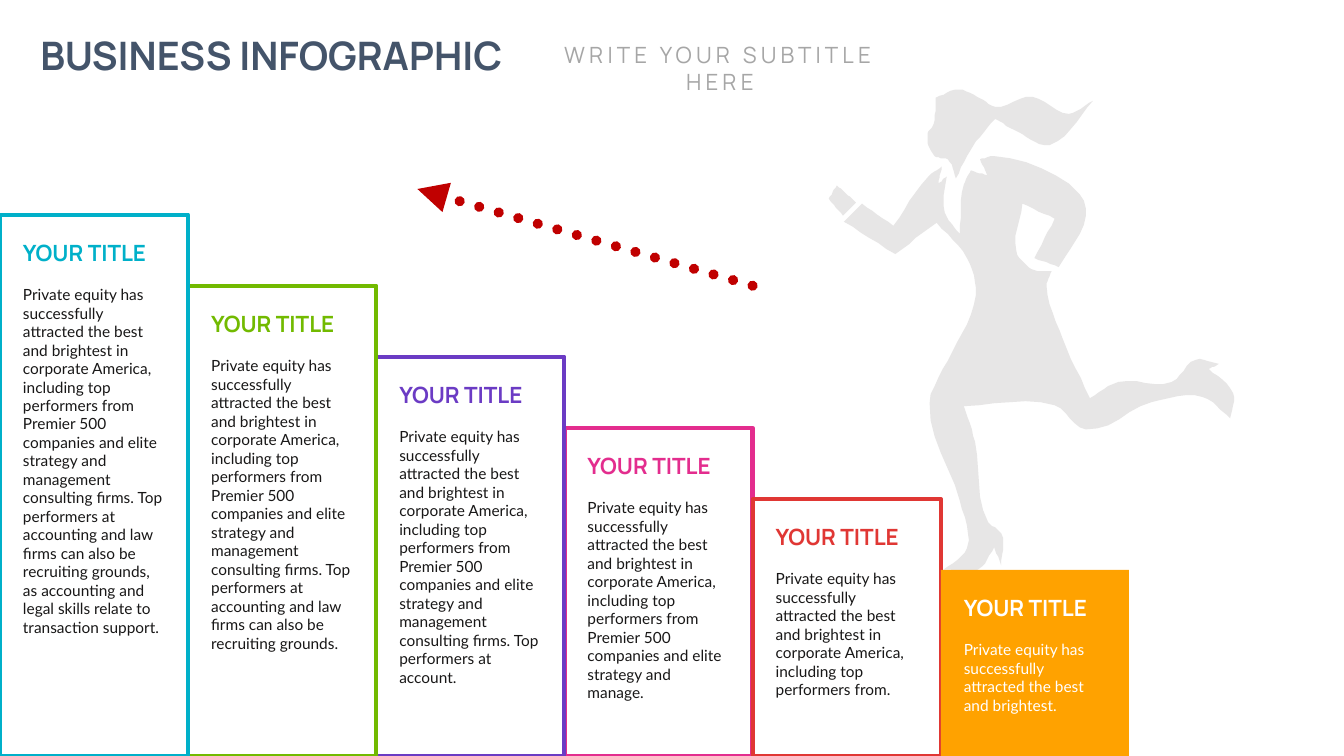
from dataclasses import dataclass

from lxml.etree import SubElement
from pptx import Presentation
from pptx.dml.color import RGBColor
from pptx.enum.dml import MSO_LINE
from pptx.enum.shapes import MSO_CONNECTOR, MSO_SHAPE
from pptx.enum.text import MSO_ANCHOR, MSO_AUTO_SIZE, PP_ALIGN
from pptx.oxml.ns import qn
from pptx.util import Inches, Pt

WIDTH, HEIGHT = 13.33, 7.5
COLUMN = WIDTH * 0.14
TOP_STAIR = HEIGHT * 0.284
RISER = HEIGHT * 0.094

CYAN = RGBColor(0x00, 0xB0, 0xC9)
GREEN = RGBColor(0x72, 0xBA, 0x00)
PURPLE = RGBColor(0x6B, 0x3B, 0xC4)
PINK = RGBColor(0xE3, 0x2D, 0x8E)
RED = RGBColor(0xE0, 0x37, 0x34)
ORANGE = RGBColor(0xFF, 0xA2, 0x00)
WHITE = RGBColor(0xFF, 0xFF, 0xFF)
INK = RGBColor(0x18, 0x17, 0x17)
SLATE = RGBColor(0x44, 0x54, 0x6A)
GRAY = RGBColor(0xA6, 0xA6, 0xA6)
PALE_GRAY = RGBColor(0xE7, 0xE6, 0xE6)
DARK_RED = RGBColor(0xC0, 0x00, 0x00)

STORY = (
    "Private equity has successfully attracted the best and brightest in corporate America, "
    "including top performers from Premier 500 companies and elite strategy and management "
    "consulting firms. Top performers at accounting and law firms can also be recruiting "
    "grounds, as accounting and legal skills relate to transaction support."
)


@dataclass(frozen=True)
class Stair:
    column: int
    color: RGBColor
    last_word: str
    lines: int
    filled: bool = False


# From back to front: each border overlaps the one drawn before it.
STAIRS = [
    Stair(3, PINK, "manage", 11),
    Stair(2, PURPLE, "account", 14),
    Stair(1, GREEN, "grounds", 16),
    Stair(0, CYAN, "support", 19),
    Stair(4, RED, "from", 7),
    Stair(5, ORANGE, "brightest", 4, filled=True),
]

# Key points of the running woman, in hundredths of an inch.
HEAD = [
    (951, 89), (928, 97), (926, 123), (920, 134), (927, 155), (940, 158), (948, 177), (965, 145),
    (987, 118), (1010, 131), (1036, 144), (1049, 140), (1084, 100), (1060, 113), (1024, 96),
    (987, 106), (973, 98),
]
BODY = [
    (987, 155), (972, 158), (979, 174), (963, 169), (956, 183), (952, 232), (937, 211), (939, 175),
    (931, 182), (934, 165), (920, 176), (886, 224), (855, 202), (837, 220), (888, 252), (929, 221),
    (959, 256), (968, 292), (944, 350), (922, 400), (952, 497), (959, 544), (936, 565), (970, 565),
    (986, 543), (993, 561), (993, 529), (980, 518), (967, 438), (956, 403), (1046, 402),
    (1077, 426), (1142, 399), (1193, 394), (1220, 415), (1223, 390), (1199, 366), (1209, 361),
    (1186, 357), (1162, 379), (1109, 379), (1081, 395), (1054, 336), (1038, 284), (1043, 269),
    (1023, 267), (1008, 249), (1014, 202), (1046, 217), (1026, 256), (1050, 265), (1077, 214),
    (1071, 193),
]
FIST = [(830, 184), (822, 197), (836, 214), (849, 201), (837, 190)]


def smooth(outline: list[tuple[int, int]], steps: int = 6) -> list[tuple[float, float]]:
    """Curve through the key points, keeping sharp turns as corners."""
    points = [complex(x, y) for x, y in outline]
    count = len(points)
    chords = [points[(i + 1) % count] - points[i] for i in range(count)]
    units = [chord / abs(chord) for chord in chords]

    def tangent(corner: int, side: int) -> complex:
        before, after = units[corner - 1], units[corner % count]
        if (before * after.conjugate()).real < 0.4:
            return chords[side]
        return (before + after) / abs(before + after) * abs(chords[side])

    curve = []
    for i, start in enumerate(points):
        leaving, arriving = tangent(i, i), tangent((i + 1) % count, i)
        for step in range(steps):
            t = step / steps
            point = (start + chords[i] * t * t * (3 - 2 * t)
                     + leaving * t * (1 - t) ** 2 - arriving * t * t * (1 - t))
            curve.append((point.real, point.imag))
    return curve


def story_until(last_word: str) -> str:
    return STORY[: STORY.index(last_word) + len(last_word)] + "."


def place(shape, left: float, top: float, width: float, height: float) -> None:
    shape.left, shape.top = Inches(left), Inches(top)
    shape.width, shape.height = Inches(width), Inches(height)


def write(shape, text: str, *, size: float, color: RGBColor, font: str = "Manrope",
          bold: bool = False, align=PP_ALIGN.LEFT, anchor=MSO_ANCHOR.TOP,
          wrap: bool = False, spacing: float = 0) -> None:
    frame = shape.text_frame
    frame.text = text
    frame.word_wrap = wrap
    frame.auto_size = MSO_AUTO_SIZE.SHAPE_TO_FIT_TEXT
    frame.vertical_anchor = anchor
    paragraph = frame.paragraphs[0]
    paragraph.alignment = align
    paragraph.space_before = Pt(0)
    run = paragraph.runs[0]
    run.font.name, run.font.size, run.font.bold = font, Pt(size), bold
    run.font.color.rgb = color
    if spacing:
        run.font._element.set("spc", str(round(spacing * 100)))


def draw_runner(slide) -> None:
    head, *others = (smooth(outline) for outline in (HEAD, BODY, FIST))
    builder = slide.shapes.build_freeform(*head[0], scale=Inches(0.01))
    builder.add_line_segments(head[1:])
    for outline in others:
        builder.move_to(*outline[0])
        builder.add_line_segments(outline[1:])
    runner = builder.convert_to_shape()
    runner.shadow.inherit = False
    runner.fill.solid()
    runner.fill.fore_color.rgb = PALE_GRAY
    runner.line.fill.background()


def draw_stair(slide, stair: Stair) -> None:
    left = stair.column * COLUMN
    top = TOP_STAIR + stair.column * RISER
    card = slide.shapes.add_shape(MSO_SHAPE.RECTANGLE, 0, 0, 0, 0)
    place(card, left, top, COLUMN, HEIGHT - top)
    card.shadow.inherit = False
    if stair.filled:
        card.fill.solid()
        card.fill.fore_color.rgb = stair.color
        card.line.fill.background()
    else:
        card.fill.background()
        card.line.color.rgb = stair.color
        card.line.width = Pt(3)

    heading = slide.shapes.add_textbox(0, 0, 0, 0)
    place(heading, left + 0.13, top + 0.19, 1.44, 0.37)
    write(heading, "YOUR TITLE", size=16, bold=True, anchor=MSO_ANCHOR.MIDDLE,
          color=WHITE if stair.filled else stair.color)
    body = slide.shapes.add_textbox(0, 0, 0, 0)
    place(body, left + 0.13, top + 0.65, 1.6, 0.1 + 0.185 * stair.lines)
    write(body, story_until(stair.last_word), size=11, font="Lato", wrap=True,
          color=WHITE if stair.filled else INK)


def draw_arrow(slide) -> None:
    arrow = slide.shapes.add_connector(
        MSO_CONNECTOR.STRAIGHT, Inches(4 * COLUMN), Inches(TOP_STAIR + RISER),
        Inches(4.14), Inches(HEIGHT * 0.25))
    arrow.line.color.rgb = DARK_RED
    arrow.line.width = Pt(7.25)
    arrow.line.dash_style = MSO_LINE.ROUND_DOT
    outline = arrow.line._get_or_add_ln()
    outline.set("cap", "rnd")
    SubElement(outline, qn("a:tailEnd"), type="triangle")
    SubElement(arrow._element.spPr, qn("a:effectLst"))


def main() -> None:
    presentation = Presentation()
    presentation.slide_width, presentation.slide_height = Inches(WIDTH), Inches(HEIGHT)
    slide = presentation.slides.add_slide(presentation.slide_layouts[0])
    title, subtitle = slide.placeholders
    place(title, 0.24, 0.26, 4.9, 0.57)
    write(title, "BUSINESS INFOGRAPHIC", size=28, color=SLATE, bold=True, align=PP_ALIGN.CENTER)
    place(subtitle, 5.13, 0.36, 4.02, 0.37)
    write(subtitle, "WRITE YOUR SUBTITLE HERE", size=16, color=GRAY, align=PP_ALIGN.CENTER,
          wrap=True, spacing=3)
    draw_runner(slide)
    for stair in STAIRS:
        draw_stair(slide, stair)
    draw_arrow(slide)
    presentation.save("out.pptx")


if __name__ == "__main__":
    main()
